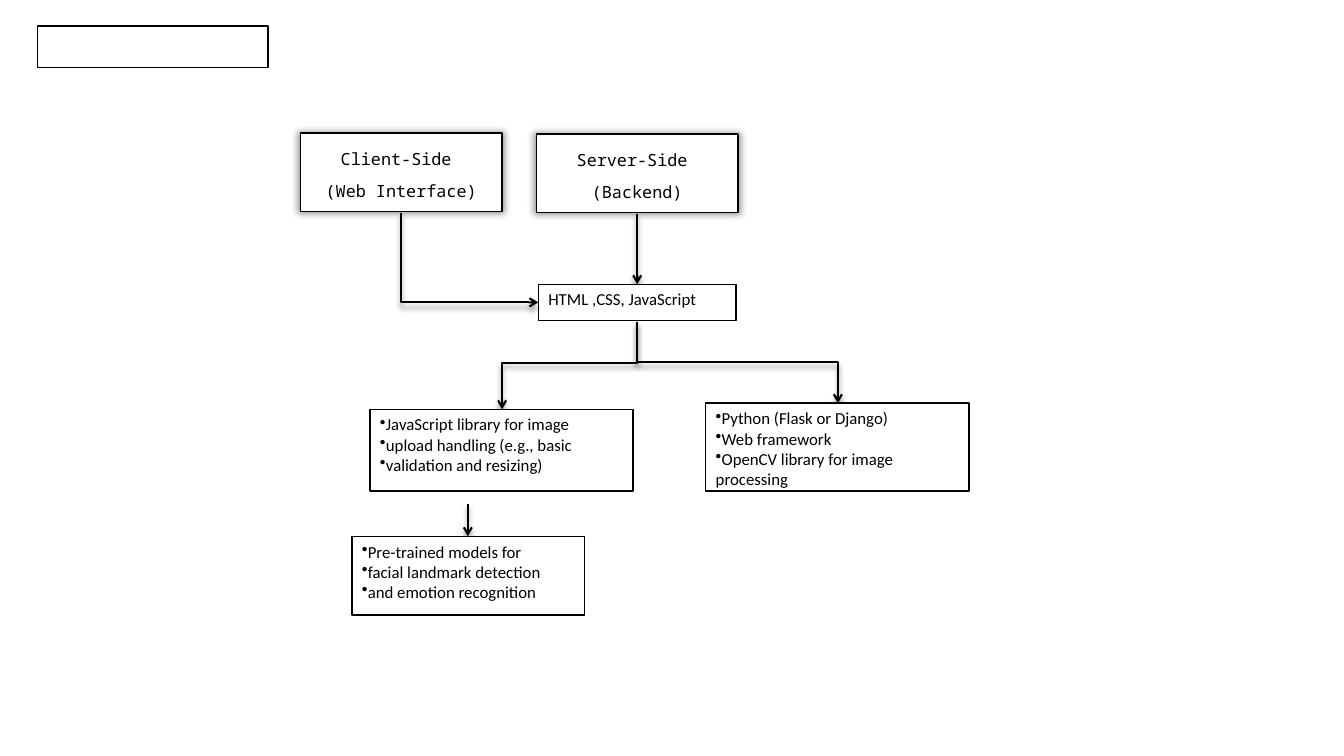
"""Flow diagram of the client and server parts of an image analysis web app."""
from lxml import etree
from pptx import Presentation
from pptx import util as u
from pptx.dml.color import RGBColor
from pptx.enum import shapes, text
from pptx.oxml.ns import qn

BLACK, WHITE = "000000", "FFFFFF"
HEADERS = [
    ((2.98, 1.32, 2, 0.78), ["Client-Side ", "(Web Interface)"]),
    ((5.32, 1.33, 2, 0.78), ["Server-Side ", "(Backend)"]),
]
ARROWS = [
    ((3.98, 2.11), (5.34, 3), "bentConnector2", None),
    ((6.32, 2.12), (6.32, 2.82), "line", None),
    ((6.32, 3.19), (4.98, 4.06), "bentConnector3", 0.47),
    ((6.32, 3.19), (8.31, 4), "bentConnector3", 0.5),
    ((4.64, 5), (4.64, 5.32), "line", None),
]
BOXES = [
    ((0.37, 0.26, 2.29, 0.41), [], False),
    ((3.67, 4.06, 2.61, 0.81),
     ["JavaScript library for image", "upload handling (e.g., basic", "validation and resizing)"], True),
    ((7, 4, 2.61, 0.87),
     ["Python (Flask or Django)", "Web framework", "OpenCV library for image processing"], True),
    ((3.49, 5.32, 2.31, 0.78),
     ["Pre-trained models for", "facial landmark detection", "and emotion recognition"], True),
    ((5.34, 2.82, 1.96, 0.36), ["HTML ,CSS, JavaScript"], False),
]


def color(value):
    return RGBColor.from_string(value)


def add_child(parent, tag, **attributes):
    child = etree.SubElement(parent, qn(tag))
    for name, value in attributes.items():
        child.set(name, str(value))
    return child


def add_shadow(effects, **attributes):
    shadow = add_child(effects, "a:outerShdw", rotWithShape=0, **attributes)
    add_child(add_child(shadow, "a:prstClr", val="black"), "a:alpha", val=40000)


def add_box(slide, place, lines, font="Calibri", bullets=False, header=False):
    shape = slide.shapes.add_shape(shapes.MSO_SHAPE.RECTANGLE, *map(u.Inches, place))
    shape.shadow.inherit = False
    shape.fill.solid()
    shape.fill.fore_color.rgb = color(WHITE)
    shape.line.color.rgb = color(BLACK)
    shape.line.width = u.Pt(1)
    frame = shape.text_frame
    frame.word_wrap = True
    frame.vertical_anchor = text.MSO_ANCHOR.TOP
    if header:
        frame.margin_left = frame.margin_right = 0
        frame.margin_top, frame.margin_bottom = u.Inches(0.18), u.Inches(0.05)
        effects = shape._element.spPr.find(qn("a:effectLst"))
        add_shadow(effects, blurRad=u.Pt(5), sx=102000, sy=102000, algn="ctr")
    for index, line in enumerate(lines):
        paragraph = frame.add_paragraph() if index else frame.paragraphs[0]
        paragraph.alignment = text.PP_ALIGN.CENTER if header else text.PP_ALIGN.LEFT
        if header:
            paragraph.line_spacing = 0.9
            paragraph.space_before = u.Pt(10)
        if bullets:
            add_child(paragraph._p.get_or_add_pPr(), "a:buChar", char="•")
        run = paragraph.add_run()
        run.text = line
        run.font.name = font
        run.font.size = u.Pt(12)
        run.font.color.rgb = color(BLACK)


def add_arrow(slide, start, end, preset, bend):
    (x1, y1), (x2, y2) = start, end
    bent = preset != "line"
    kind = shapes.MSO_CONNECTOR.ELBOW if bent else shapes.MSO_CONNECTOR.STRAIGHT
    if bent:
        width, height = abs(y2 - y1), abs(x2 - x1)
        left, top = (x1 + x2 - width) / 2, (y1 + y2 - height) / 2
        corners = left, top, left + width, top + height
    else:
        corners = x1, y1, x2, y2
    connector = slide.shapes.add_connector(kind, *map(u.Inches, corners))
    properties = connector._element.spPr
    if bent:
        frame = properties.find(qn("a:xfrm"))
        rightward = x2 > x1
        frame.set("rot", str((270 if rightward else 90) * 60000))
        if rightward:
            frame.set("flipH", "1")
        geometry = properties.find(qn("a:prstGeom"))
        geometry.set("prst", preset)
        if bend is not None:
            add_child(geometry.find(qn("a:avLst")), "a:gd", name="adj1", fmla=f"val {round(bend * 100000)}")
    connector.line.color.rgb = color(BLACK)
    connector.line.width = u.Pt(1.5)
    add_child(properties.find(qn("a:ln")), "a:tailEnd", type="arrow")
    effects = add_child(properties, "a:effectLst")
    add_shadow(effects, blurRad=u.Pt(4), dist=u.Pt(3), dir=90 * 60000, algn="t")


def main():
    presentation = Presentation()
    presentation.slide_width, presentation.slide_height = u.Inches(13.33), u.Inches(7.5)
    slide = presentation.slides.add_slide(presentation.slide_layouts[6])
    for place, lines in HEADERS:
        add_box(slide, place, lines, font="Noto Sans Mono", header=True)
    for arrow in ARROWS:
        add_arrow(slide, *arrow)
    for place, lines, bullets in BOXES:
        add_box(slide, place, lines, bullets=bullets)
    presentation.save("out.pptx")


if __name__ == "__main__":
    main()
